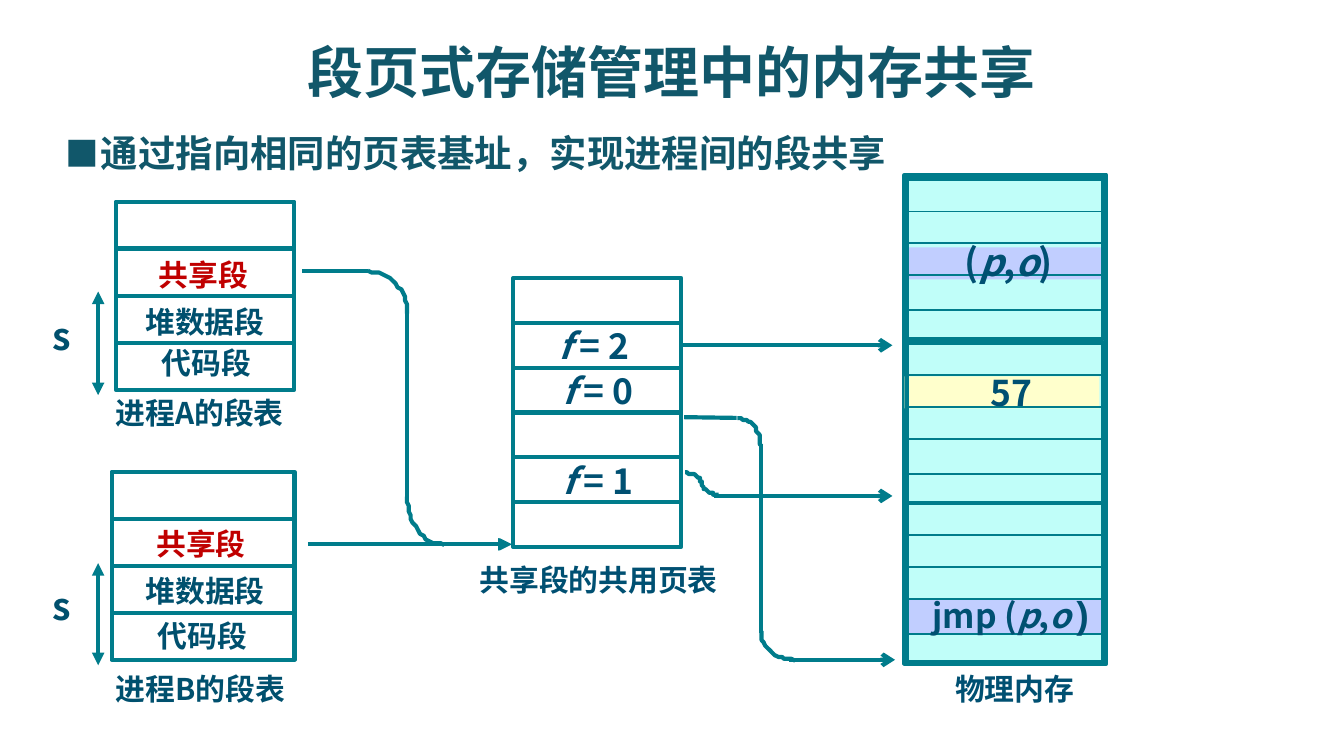
import math

from lxml import etree
from pptx import Presentation
from pptx.dml.color import RGBColor
from pptx.enum.shapes import MSO_CONNECTOR, MSO_SHAPE
from pptx.enum.text import PP_ALIGN
from pptx.oxml.ns import qn
from pptx.util import Pt

STRAIGHT = MSO_CONNECTOR.STRAIGHT
RECTANGLE = MSO_SHAPE.RECTANGLE
LEFT, CENTER = PP_ALIGN.LEFT, PP_ALIGN.CENTER
RIGHT_SIDE = 3
FONT = "Noto Sans CJK SC"
COLORS = {
    "heading": "11576A", "label": "00506E", "value": "005072", "shared": "C00000",
    "line": "007C8B", "memory": "C0FEF9", "address": "C1CEFF", "data": "FFFFCC",
}

# Labels: text, left, top, width, colour
SEGMENT_TABLES = [
    {"left": 62, "top": 108, "width": 95.6, "s_top": 164.2, "span": (211.7, 156.2),
     "labels": [("共享段", 57.6, 133.9, 103, "shared"),
                ("堆数据段", 53.3, 159.1, 113, "label"),
                ("代码段", 64.1, 181.4, 93, "label"),
                ("进程A的段表", 53.3, 208.1, 107.3, "label")]},
    {"left": 59.8, "top": 252.7, "width": 98, "s_top": 308.9, "span": (356.4, 301.7),
     "labels": [("共享段", 56.2, 277.9, 103, "shared"),
                ("堆数据段", 56.2, 303.1, 107.3, "label"),
                ("代码段", 61.9, 327.6, 93, "label"),
                ("进程B的段表", 54, 355.7, 106.6, "label")]},
]
SEGMENT_ROWS, SEGMENT_HEIGHT = 4, 25.2

PAGE_TABLE = {"left": 275, "top": 149, "width": 90, "rows": 6, "height": 24}
# Frame numbers: text, left, top, width, alignment
FRAME_NUMBERS = [
    (" = 2", 292.3, 169.9, 67, LEFT),
    (" = 0", 280, 194.4, 80.6, CENTER),
    (" = 1", 280, 242.6, 80.6, CENTER),
]
FRAME_ROW_WITH_ARROW = 1

MEMORY = (484.6, 93.6, 108, 262.1)
FRAME_WIDTH, FRAME_HEIGHT = 105.1, 85.7
LINE_OFFSETS = (17.5, 34.3, 51.5, 70.3)
LINE_SPAN = (486, 590.2)
# Frames: top, band box, band colour, text runs, text box
MEMORY_FRAMES = [
    {"top": 95.8, "band": (486.7, 132.5, 104.4, 17.3), "color": "address",
     "runs": ["(", ("p", {"italic": True}), ",", ("o", {"italic": True}), ")"],
     "text": (509.8, 124.6, 65), "size": 20},
    {"top": 183.6, "band": (484.6, 201.6, 104.4, 17.3), "color": "data",
     "runs": ["57"], "text": (523.4, 195.1, 42), "size": 19},
    {"top": 269.3, "band": (486, 320.4, 104.4, 18.7), "color": "address",
     "runs": ["jmp (", ("p", {"italic": True}), ",", ("o", {"italic": True}),
              (")", {"size": 20, "font": "Courier New"})],
     "text": (492.5, 313.2, 106), "size": 18},
]

# Corners leave the first point horizontally and reach the second vertically
CORNERS = [
    ((196.6, 145.4), (218.2, 167.8)), ((237.6, 291.6), (218.2, 266.4)),
    ((394.6, 223.9), (407.5, 239)), ((425.5, 353.5), (407.5, 338.4)),
    ((367.2, 253.4), (375.8, 259.2)), ((385.2, 265), (375.8, 257.8)),
]
ROUTES = [
    ((162, 145.4), (197.3, 145.4), None), ((218.2, 167), (218.2, 267.8), None),
    ((235.4, 291.6), (274.3, 291.6), "triangle"),
    ((164.9, 291.6), (273.6, 291.6), "triangle"),
    ((366.5, 223.5), (394.6, 223.9), None), ((407.5, 237.6), (407.5, 339.1), None),
    ((422.6, 353.5), (479.5, 353.5), "arrow"), ((382.3, 265.7), (478.1, 265.7), "arrow"),
]

presentation = Presentation()
presentation.slide_width, presentation.slide_height = Pt(720), Pt(405)
slide = presentation.slides.add_slide(presentation.slide_layouts[6])
shapes = slide.shapes


def add_text(runs, left, top, width, *, size=16, color="label", align=LEFT,
             font=FONT, wrap=True):
    """Add bold text; each run is a string or a (string, overrides) pair."""
    frame = shapes.add_textbox(Pt(left), Pt(top), Pt(width), Pt(size * 1.5 + 7)).text_frame
    frame.word_wrap = wrap
    paragraph = frame.paragraphs[0]
    paragraph.alignment = align
    for item in runs:
        text, overrides = (item, {}) if isinstance(item, str) else item
        run = paragraph.add_run()
        run.text = text
        run.font.size = Pt(overrides.get("size", size))
        run.font.bold = True
        run.font.italic = overrides.get("italic", False)
        run.font.color.rgb = RGBColor.from_string(COLORS[color])
        run.font.name = overrides.get("font", font)
        east_asian = etree.SubElement(run.font._element, qn("a:ea"))
        east_asian.set("typeface", run.font.name)


def style_line(line, width=2.25):
    line.color.rgb = RGBColor.from_string(COLORS["line"])
    line.width = Pt(width)


def add_box(left, top, width, height, fill=None, outline=True):
    box = shapes.add_shape(RECTANGLE, Pt(left), Pt(top), Pt(width), Pt(height))
    box.shadow.inherit = False
    if fill:
        box.fill.solid()
        box.fill.fore_color.rgb = RGBColor.from_string(COLORS[fill])
    else:
        box.fill.background()
    if outline:
        style_line(box.line)
    else:
        box.line.fill.background()
    return box


def add_rows(left, top, width, height, count):
    return [add_box(left, top + row * height, width, height) for row in range(count)]


def add_line(start, end, head=None, tail=None, width=2.25):
    line = shapes.add_connector(STRAIGHT, *(Pt(value) for value in (*start, *end)))
    style_line(line.line, width)
    outline = line.line._get_or_add_ln()
    for tag, kind in (("a:headEnd", head), ("a:tailEnd", tail)):
        if kind:
            etree.SubElement(outline, qn(tag)).set("type", kind)
    etree.SubElement(line._element.spPr, qn("a:effectLst"))
    return line


def add_corner(start, end, steps=16):
    """Draw a quarter ellipse that starts horizontal and ends vertical."""
    (x, y), (end_x, end_y) = start, end
    angles = [math.pi / 2 * step / steps for step in range(1, steps + 1)]
    points = [(x + (end_x - x) * math.sin(angle), y + (end_y - y) * (1 - math.cos(angle)))
              for angle in angles]
    builder = shapes.build_freeform(x, y, scale=Pt(1))
    builder.add_line_segments(points, close=False)
    corner = builder.convert_to_shape()
    corner.shadow.inherit = False
    corner.fill.background()
    style_line(corner.line)


add_text(["段页式存储管理中的内存共享"], 157.7, 16.6, 466.6, size=30, color="heading")
add_text(["■"], 28.1, 67.7, 32.4, size=18, color="heading", font="Noto Sans CJK JP")
add_text(["通过指向相同的页表基址，实现进程间的段共享"], 47, 66.2, 444, size=20, color="heading")

for table in SEGMENT_TABLES:
    add_rows(table["left"], table["top"], table["width"], SEGMENT_HEIGHT, SEGMENT_ROWS)
    for text, left, top, width, color in table["labels"]:
        add_text([text], left, top, width, color=color, align=CENTER)
    add_text(["s"], 20.9, table["s_top"], 36, size=20)
    bottom, top = table["span"]
    add_line((52.6, bottom), (52.6, top), head="triangle", tail="triangle")

add_box(*MEMORY, fill="memory")
for frame in MEMORY_FRAMES:
    add_box(*frame["band"], fill=frame["color"], outline=False)
    add_box(LINE_SPAN[0], frame["top"], FRAME_WIDTH, FRAME_HEIGHT)
    for offset in LINE_OFFSETS:
        y = frame["top"] + offset
        add_line((LINE_SPAN[0], y), (LINE_SPAN[1], y), width=1)
    add_text(frame["runs"], *frame["text"], size=frame["size"], color="value")
add_text(["物理内存"], 503.3, 355.7, 80.6, color="value", align=CENTER, wrap=False)

page_rows = add_rows(PAGE_TABLE["left"], PAGE_TABLE["top"], PAGE_TABLE["width"],
                     PAGE_TABLE["height"], PAGE_TABLE["rows"])
for text, left, top, width, align in FRAME_NUMBERS:
    add_text([("f", {"italic": True}), text], left, top, width, size=19, color="value", align=align)
add_text(["共享段的共用页表"], 249.1, 297.4, 143.3, color="value", align=CENTER, wrap=False)

frame_arrow = add_line((365, 185), (478.1, 185), tail="arrow")
frame_arrow.begin_connect(page_rows[FRAME_ROW_WITH_ARROW], RIGHT_SIDE)
for start, end, tail in ROUTES:
    add_line(start, end, tail=tail)
for start, end in CORNERS:
    add_corner(start, end)

presentation.save("out.pptx")
